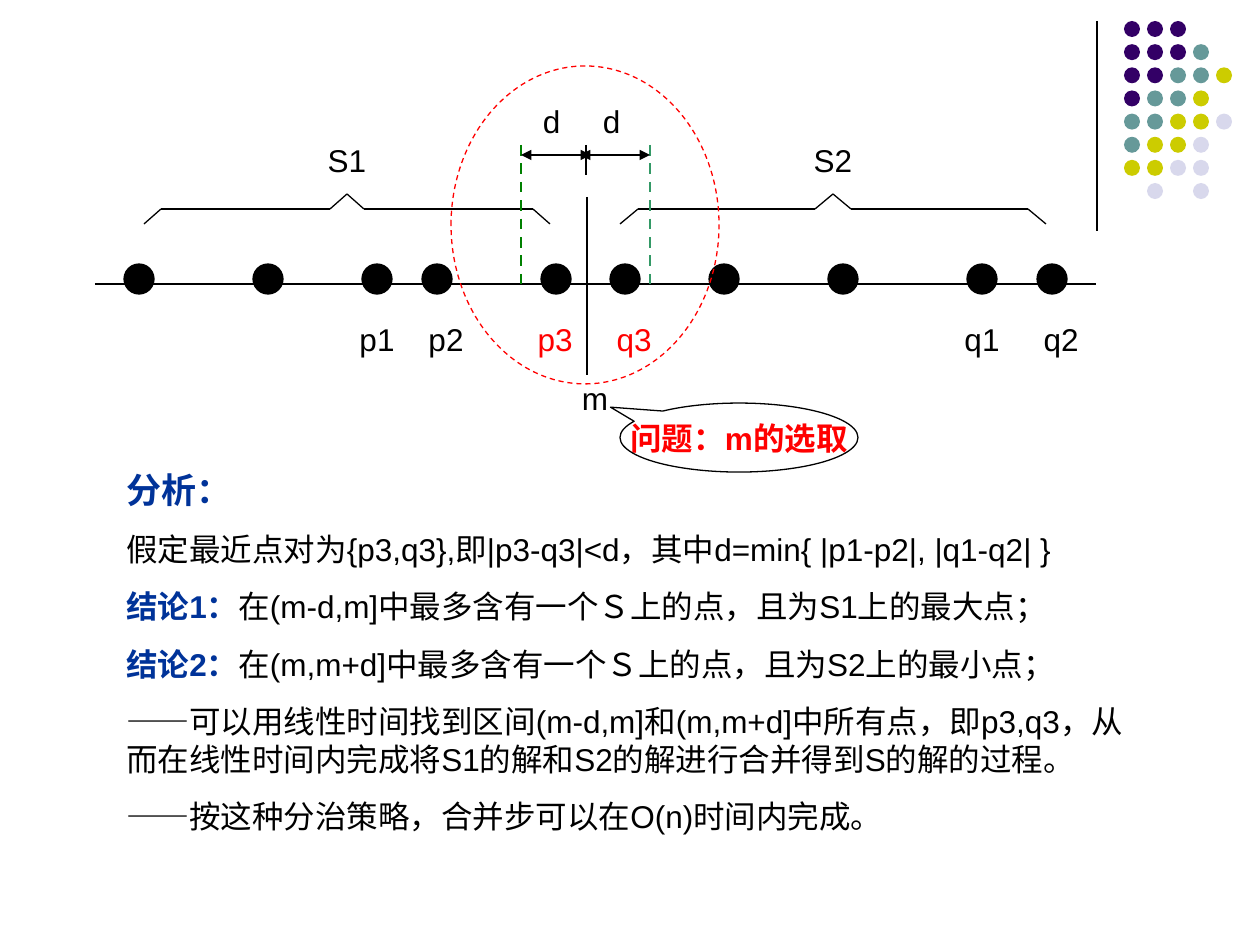
from lxml.etree import SubElement
from pptx import Presentation
from pptx.dml.color import RGBColor
from pptx.enum.dml import MSO_LINE
from pptx.enum.shapes import MSO_CONNECTOR, MSO_SHAPE
from pptx.enum.text import MSO_ANCHOR, MSO_AUTO_SIZE, PP_ALIGN
from pptx.oxml.ns import qn
from pptx.util import Pt

PX = 914400 / 126
BLACK, RED, NAVY = "000000", "FF0000", "003399"
DOT_COLORS = {"P": "330066", "T": "669999", "Y": "CCCC00", "L": "D8D8EC"}
DOT_ROWS = ["PPP", "PPPT", "PPTTY", "PTTY", "TTYYL", "TYYL", "YYLL", ".L.L"]
POINT_CENTERS = [139, 268, 377, 437, 556, 625, 724, 843, 982, 1052]
POINT_LABELS = [("p1", 377, BLACK), ("p2", 446, BLACK), ("p3", 555, RED),
                ("q3", 634, RED), ("q1", 982, BLACK), ("q2", 1061, BLACK)]
ANALYSIS = [
    [("分析：", 20, NAVY, True)],
    [("假定最近点对为{p3,q3},即|p3-q3|<d，其中d=min{ |p1-p2|, |q1-q2| }", 18, BLACK, False)],
    [("结论1：", 18, NAVY, True),
     ("在(m-d,m]中最多含有一个Ｓ上的点，且为S1上的最大点；", 18, BLACK, False)],
    [("结论2：", 18, NAVY, True),
     ("在(m,m+d]中最多含有一个Ｓ上的点，且为S2上的最小点；", 18, BLACK, False)],
    [("——可以用线性时间找到区间(m-d,m]和(m,m+d]中所有点，即p3,q3，"
      "从而在线性时间内完成将S1的解和S2的解进行合并得到S的解的过程。", 18, BLACK, False)],
    [("——按这种分治策略，合并步可以在O(n)时间内完成。", 18, BLACK, False)],
]


def emu(*lengths):
    return [round(length * PX) for length in lengths]


def rgb(color):
    return RGBColor.from_string(color)


def style_line(line, color, width, dash):
    line.color.rgb = rgb(color)
    line.width = Pt(width)
    if dash:
        line.dash_style = MSO_LINE.DASH


def add_line(slide, start, end, color=BLACK, width=0.75, dash=False, arrows=False):
    connector = slide.shapes.add_connector(MSO_CONNECTOR.STRAIGHT, *emu(*start, *end))
    style_line(connector.line, color, width, dash)
    if arrows:
        outline = connector.line._get_or_add_ln()
        for end_tag in ("a:headEnd", "a:tailEnd"):
            SubElement(outline, qn(end_tag), type="triangle")
    SubElement(connector._element.spPr, qn("a:effectLst"))


def add_shape(slide, preset, box, fill=None, line=None, dash=False):
    shape = slide.shapes.add_shape(preset, *emu(*box))
    shape.shadow.inherit = False
    if fill:
        shape.fill.solid()
        shape.fill.fore_color.rgb = rgb(fill)
    else:
        shape.fill.background()
    if line:
        style_line(shape.line, line, 0.75, dash)
    else:
        shape.line.fill.background()
    return shape


def add_text(slide, box, paragraphs, align=PP_ALIGN.LEFT):
    frame = slide.shapes.add_textbox(*emu(*box)).text_frame
    frame.word_wrap = True
    frame.auto_size = MSO_AUTO_SIZE.SHAPE_TO_FIT_TEXT
    frame.vertical_anchor = MSO_ANCHOR.TOP
    for index, runs in enumerate(paragraphs):
        paragraph = frame.add_paragraph() if index else frame.paragraphs[0]
        paragraph.alignment = align
        if index:
            paragraph.space_before = Pt(11.2)
        for text, size, color, bold in runs:
            run = paragraph.add_run()
            run.text = text
            run.font.name = "Arial"
            run.font.size = Pt(size)
            run.font.bold = bold
            run.font.color.rgb = rgb(color)


def add_label(slide, text, center, top, width, color=BLACK, bold=False,
              align=PP_ALIGN.CENTER):
    box = (center - width / 2, top, width, 50)
    add_text(slide, box, [[(text, 18, color, bold)]], align)


def add_bracket(slide, center, half, slope):
    xs = [center - half, center - half + slope, center - slope, center,
          center + slope, center + half - slope, center + half]
    corners = list(zip(xs, [224, 209, 209, 194, 209, 209, 224]))
    for start, end in zip(corners, corners[1:]):
        add_line(slide, start, end)


def add_corner_dots(slide):
    add_line(slide, (1097, 21), (1097, 231))
    for row, codes in enumerate(DOT_ROWS):
        for column, code in enumerate(codes):
            if code in DOT_COLORS:
                box = (1124 + 23 * column, 21 + 23.15 * row, 16, 16)
                add_shape(slide, MSO_SHAPE.OVAL, box, DOT_COLORS[code])


def add_point_axis(slide):
    add_line(slide, (95, 284), (1096, 284), width=1.25)
    for center in POINT_CENTERS:
        add_shape(slide, MSO_SHAPE.OVAL, (center - 15, 264, 30, 30), BLACK, BLACK)
    for text, center, color in POINT_LABELS:
        add_label(slide, text, center, 314, 69, color)

    # Dividing point m
    add_line(slide, (587, 197), (587, 375))
    add_label(slide, "m", 595, 373, 69)

    # The two halves
    for name, center, half, slope in [("S1", 347, 203, 17), ("S2", 833, 213, 18)]:
        add_bracket(slide, center, half, slope)
        add_label(slide, name, center, 135, 100)


def add_distance_band(slide):
    add_line(slide, (521, 145), (521, 284), "008000", 1.5, dash=True)
    add_line(slide, (586, 145), (586, 175))
    add_line(slide, (650, 145), (650, 284), "339966", 1.5, dash=True)
    for left, right, label_center in [(521, 591, 555), (580, 650, 615)]:
        add_line(slide, (left, 155), (right, 155), arrows=True)
        add_label(slide, "d", label_center, 96, 49, align=PP_ALIGN.LEFT)
    add_shape(slide, MSO_SHAPE.OVAL, (451, 66, 268, 318), line=RED, dash=True)


def add_question(slide):
    add_label(slide, "问题：m的选取", 739, 413, 258, RED, True)
    callout = add_shape(slide, MSO_SHAPE.OVAL_CALLOUT, (620, 403, 238, 69), line=BLACK)
    callout.rotation = 180
    callout.adjustments[0] = 0.54
    callout.adjustments[1] = 0.44


def main():
    deck = Presentation()
    deck.slide_width, deck.slide_height = emu(1260, 945)
    slide = deck.slides.add_slide(deck.slide_layouts[6])
    add_corner_dots(slide)
    add_text(slide, (114, 462, 1032, 380), ANALYSIS)
    add_point_axis(slide)
    add_distance_band(slide)
    add_question(slide)
    deck.save("out.pptx")


if __name__ == "__main__":
    main()
